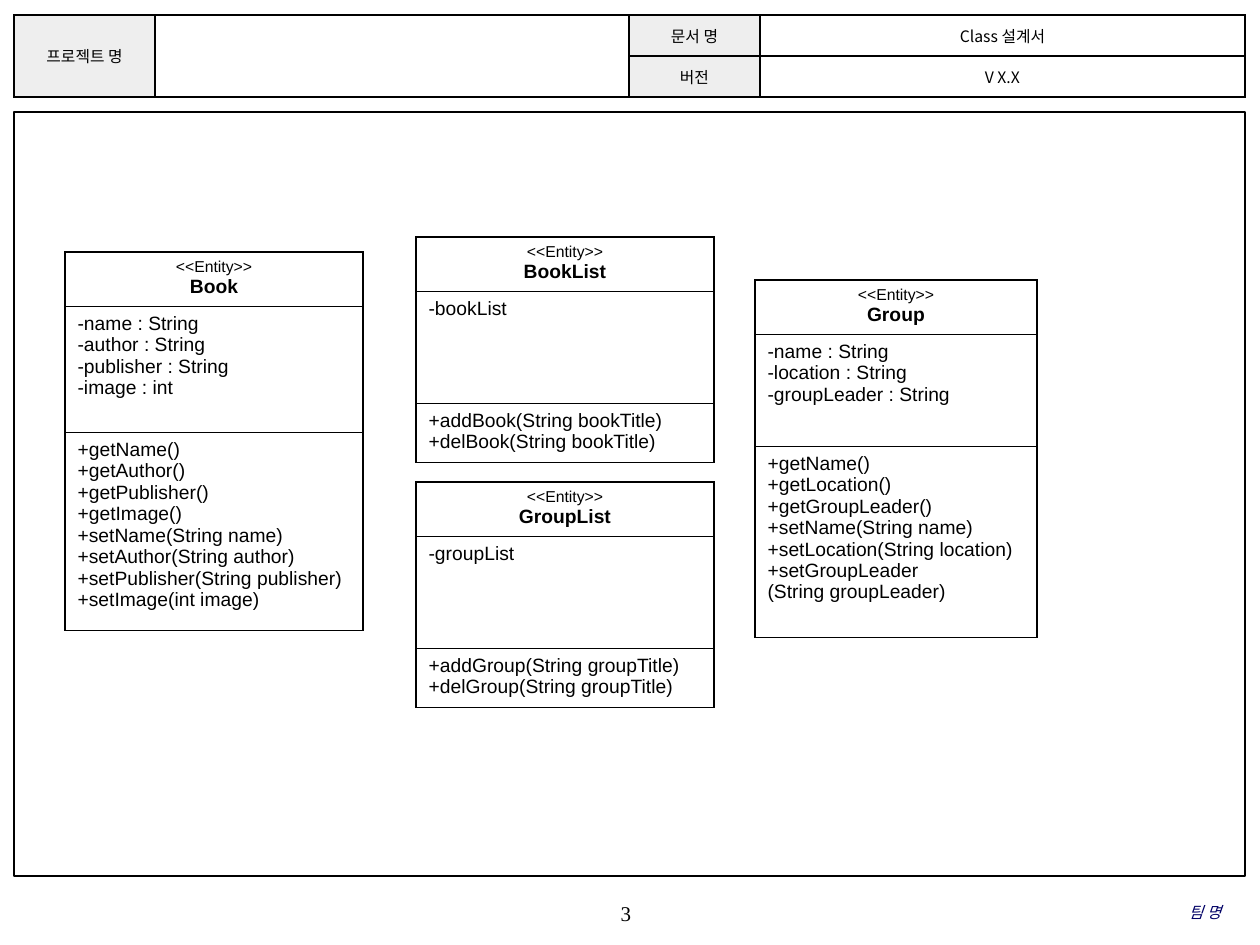
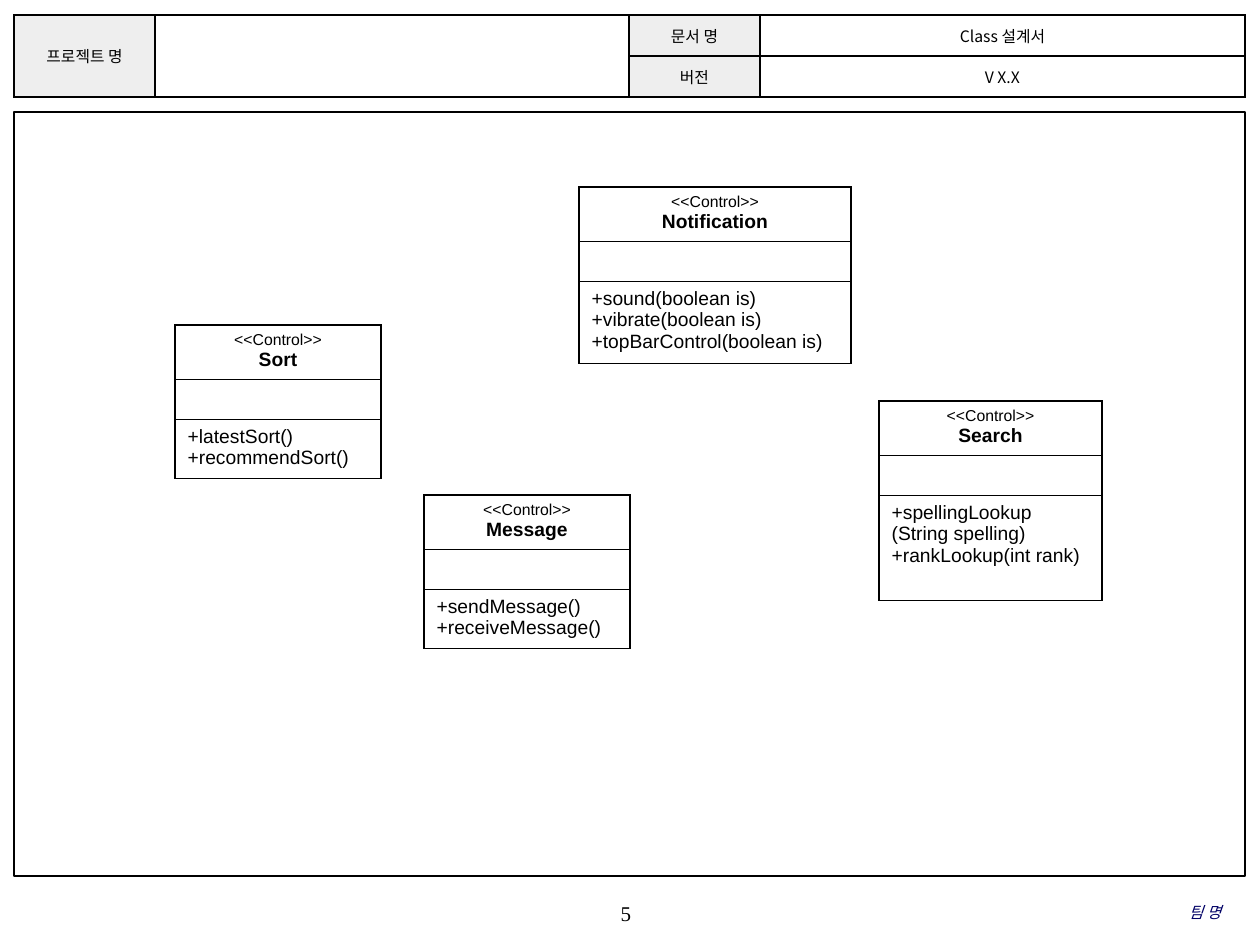
import dataclasses

import lxml.etree
import pptx
import pptx.dml.color
import pptx.enum.shapes
import pptx.enum.text
import pptx.oxml.ns
import pptx.util

SCALE = 914400 / 126
ALIGN = pptx.enum.text.PP_ALIGN
MIDDLE = pptx.enum.text.MSO_ANCHOR.MIDDLE


@dataclasses.dataclass(frozen=True)
class Theme:
    """Colours, fonts and type sizes of the deck."""
    ink: str = "000000"
    paper: str = "FFFFFF"
    label: str = "EEEEEE"
    team: str = "000066"
    sans: str = "Arial"
    serif: str = "Times New Roman"
    hangul: str = "Noto Sans CJK KR"
    small: int = 9
    body: int = 11
    page: int = 12
    rule: float = 1
    edge: float = 0.75


THEME = Theme()
HEAD = (14, 15, 1231, 82)
FRAME = (14, 112, 1231, 764)
FOOT = (495, 892, 726, 42)

ENTITIES = [
    ("Book", (65, 252, 298), (52, 126, 184),
     ["-name : String", "-author : String", "-publisher : String", "-image : int"],
     ["+getName()", "+getAuthor()", "+getPublisher()", "+getImage()",
      "+setName(String name)", "+setAuthor(String author)",
      "+setPublisher(String publisher)", "+setImage(int image)"]),
    ("BookList", (416, 237, 298), (52, 112, 56), ["-bookList"],
     ["+addBook(String bookTitle)", "+delBook(String bookTitle)"]),
    ("Group", (755, 280, 282), (52, 112, 191),
     ["-name : String", "-location : String", "-groupLeader : String"],
     ["+getName()", "+getLocation()", "+getGroupLeader()", "+setName(String name)",
      "+setLocation(String location)", "+setGroupLeader", "(String groupLeader)"]),
    ("GroupList", (416, 482, 298), (52, 112, 56), ["-groupList"],
     ["+addGroup(String groupTitle)", "+delGroup(String groupTitle)"]),
]
CONTROLS = [
    ("Search", (879, 401, 223), (52, 40, 105), [],
     ["+spellingLookup", "(String spelling)", "+rankLookup(int rank)"]),
    ("Sort", (175, 325, 206), (52, 40, 56), [],
     ["+latestSort()", "+recommendSort()"]),
    ("Message", (424, 495, 206), (52, 40, 56), [],
     ["+sendMessage()", "+receiveMessage()"]),
    ("Notification", (579, 187, 272), (52, 40, 77), [],
     ["+sound(boolean is)", "+vibrate(boolean is)", "+topBarControl(boolean is)"]),
]


def px(count):
    """Turn pixels into EMU."""
    return pptx.util.Emu(round(count * SCALE))


def rgb(code):
    """Make a colour from its hex code."""
    return pptx.dml.color.RGBColor.from_string(code)


def add(parent, name, **attrs):
    """Append a drawing element to its parent."""
    return lxml.etree.SubElement(parent, pptx.oxml.ns.qn(name), **attrs)


def write(para, text, size, face, align=ALIGN.LEFT, color=THEME.ink, bold=False, slant=False):
    """Write one styled run in a paragraph."""
    para.alignment = align
    run = para.add_run()
    run.text = text
    font = run.font
    font.size = pptx.util.Pt(size)
    font.bold, font.italic = bold, slant
    font.color.rgb = rgb(color)
    font.name = face
    add(run._r.get_or_add_rPr(), "a:ea", typeface=THEME.hangul)


def style(cell, fill):
    """Fill and outline a cell and keep its empty text small."""
    if fill:
        cell.fill.solid()
        cell.fill.fore_color.rgb = rgb(fill)
    else:
        cell.fill.background()
    props = cell._tc.get_or_add_tcPr()
    width = str(pptx.util.Pt(THEME.rule))
    for spot, side in enumerate("LRTB"):
        line = add(props, f"a:ln{side}", w=width)
        add(add(line, "a:solidFill"), "a:srgbClr", val=THEME.ink)
        props.insert(spot, line)
    add(cell.text_frame.paragraphs[0]._p, "a:endParaRPr", sz=str(THEME.small * 100))


def grid(slide, left, top, cols, rows):
    """Add a plain table with the given column and row sizes."""
    shape = slide.shapes.add_table(len(rows), len(cols), px(left), px(top),
                                   px(sum(cols)), px(sum(rows)))
    table = shape.table
    table.first_row = table.horz_banding = False
    for col, width in zip(table.columns, cols):
        col.width = px(width)
    for row, height in zip(table.rows, rows):
        row.height = px(height)
    return table


def header(slide, box):
    """Draw the document header table."""
    left, top, width, height = box
    cols = [141, 474, 131]
    table = grid(slide, left, top, cols + [width - sum(cols)], [height // 2] * 2)
    texts = [["프로젝트 명", "", "문서 명", "Class 설계서"], ["", "", "버전", "V X.X"]]
    for r, line in enumerate(texts):
        for c, text in enumerate(line):
            cell = table.cell(r, c)
            style(cell, None if c % 2 else THEME.label)
            cell.vertical_anchor = MIDDLE
            cell.margin_left = cell.margin_right = px(5)
            cell.margin_top = cell.margin_bottom = px(3)
            if text:
                write(cell.text_frame.paragraphs[0], text, THEME.small, THEME.hangul, ALIGN.CENTER)
    for c in range(2):
        table.cell(0, c).merge(table.cell(1, c))


def frame(slide, box):
    """Draw the outline around the diagram."""
    rect = slide.shapes.add_shape(pptx.enum.shapes.MSO_SHAPE.RECTANGLE, *map(px, box))
    rect.shadow.inherit = False
    rect.fill.background()
    rect.line.color.rgb = rgb(THEME.ink)
    rect.line.width = pptx.util.Pt(THEME.edge)


def label(slide, box, text, size, **look):
    """Add a text box without margins."""
    body = slide.shapes.add_textbox(*map(px, box)).text_frame
    body.word_wrap = True
    body.vertical_anchor = MIDDLE
    body.margin_left = body.margin_right = body.margin_top = body.margin_bottom = 0
    write(body.paragraphs[0], text, size, THEME.serif, **look)


def footer(slide, box, page):
    """Place the page number and the team name."""
    left, top, width, height = box
    label(slide, (left, top, 262, height), page, THEME.page, align=ALIGN.CENTER)
    label(slide, (left + width - 386, top - 1, 386, height), "팀 명", THEME.small,
          align=ALIGN.RIGHT, color=THEME.team, slant=True)


def unit(slide, box, rows, kind, name, fields, calls):
    """Draw one class as a table of title, fields and methods."""
    left, top, width = box
    table = grid(slide, left, top, [width], rows)
    cells = [table.cell(r, 0) for r in range(len(rows))]
    for cell in cells:
        style(cell, THEME.paper)
    title = cells[0].text_frame
    write(title.paragraphs[0], f"<<{kind}>>", THEME.small, THEME.sans, ALIGN.CENTER)
    write(title.add_paragraph(), name, THEME.body, THEME.sans, ALIGN.CENTER, bold=True)
    for cell, lines in zip(cells[1:], (fields, calls)):
        body = cell.text_frame
        for spot, text in enumerate(lines):
            para = body.add_paragraph() if spot else body.paragraphs[0]
            write(para, text, THEME.body, THEME.sans)


def sheet(deck, page, kind, units):
    """Build one class diagram slide."""
    slide = deck.slides.add_slide(deck.slide_layouts[6])
    header(slide, HEAD)
    frame(slide, FRAME)
    footer(slide, FOOT, page)
    for name, box, rows, fields, calls in units:
        unit(slide, box, rows, kind, name, fields, calls)


def main():
    """Build and save the deck."""
    deck = pptx.Presentation()
    deck.slide_width, deck.slide_height = px(1260), px(945)
    sheet(deck, "3", "Entity", ENTITIES)
    sheet(deck, "5", "Control", CONTROLS)
    deck.save("out.pptx")


if __name__ == "__main__":
    main()
